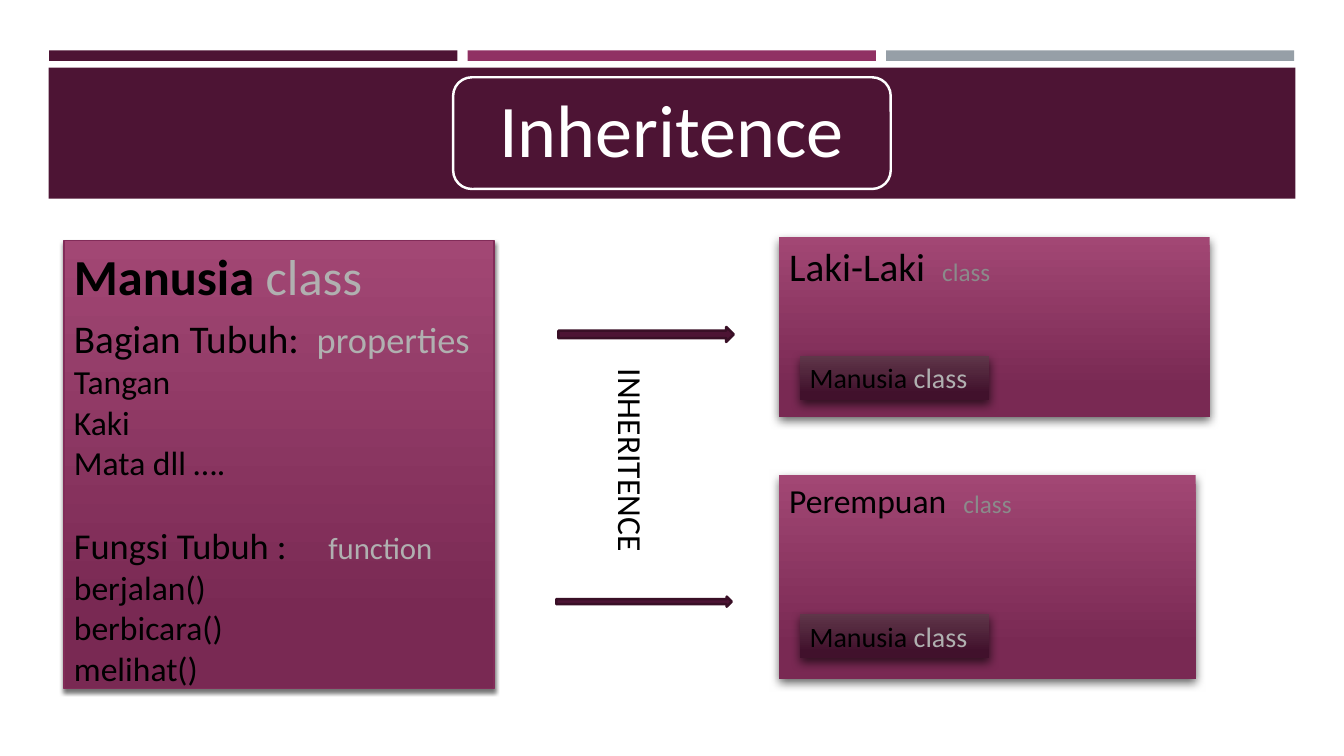
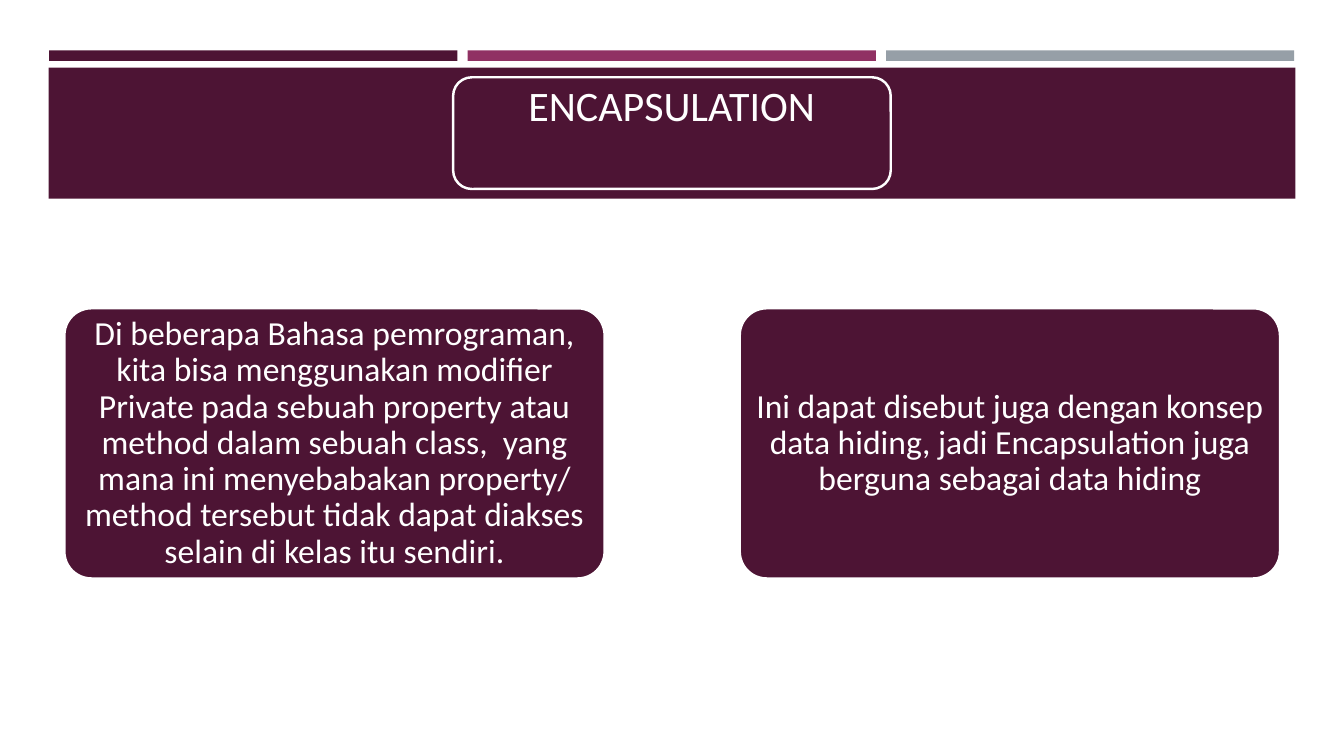
import pptx
import pptx.dml.color
import pptx.enum.dml
import pptx.enum.shapes
import pptx.enum.text
import pptx.oxml.ns
import pptx.util
import lxml.etree

Pt = pptx.util.Pt
SHAPE = pptx.enum.shapes.MSO_SHAPE
ANCHOR = pptx.enum.text.MSO_ANCHOR
ALIGN = pptx.enum.text.PP_ALIGN
NO_FIT = pptx.enum.text.MSO_AUTO_SIZE.NONE

PLUM, MAGENTA, GREY = "4D1434", "903163", "969FA7"
WHITE, BLACK, DARK_LINE = "FFFFFF", "000000", "390F26"
PALE, MUTED = "B0B0B0", "8B8B8B"
CLASS_FILL = ("A24774", "792953")
TAG_FILL = ("5F3649", "41112C")
BOX_SHADOW = {"alpha": 60, "blur": 7, "dist": 3, "angle": 84}
BODY_SHADOW = {"alpha": 55, "blur": 3, "dist": 2, "angle": 90}


def rgb(value):
    return pptx.dml.color.RGBColor.from_string(value)


def assign(obj, values):
    for name, value in values.items():
        setattr(obj, name, value)


def place(sp, box):
    assign(sp, dict(zip(("left", "top", "width", "height"), map(Pt, box))))


def add_child(parent, tag, **attrs):
    child = lxml.etree.SubElement(parent, pptx.oxml.ns.qn(tag))
    for name, value in attrs.items():
        child.set(name, str(value))
    return child


def paint(sp, fill, line=None, width=1.75):
    sp.shadow.inherit = False
    if isinstance(fill, tuple):
        sp.fill.gradient()
        sp.fill.gradient_angle = 270
        for stop, position, color in zip(sp.fill.gradient_stops, (0, 0.84), fill):
            stop.position = position
            stop.color.rgb = rgb(color)
    else:
        sp.fill.solid()
        sp.fill.fore_color.rgb = rgb(fill)
    if line:
        sp.line.color.rgb = rgb(line)
        sp.line.width = Pt(width)
    else:
        sp.line.fill.background()


def cast_shadow(sp, alpha, blur, dist, angle):
    effects = sp.element.spPr.find(pptx.oxml.ns.qn("a:effectLst"))
    shadow = add_child(effects, "a:outerShdw", blurRad=Pt(blur), dist=Pt(dist),
                       dir=angle * 60000, algn="ctr", rotWithShape=0)
    color = add_child(shadow, "a:srgbClr", val=BLACK)
    add_child(color, "a:alpha", val=alpha * 1000)


def add_shape(slide, kind, box, fill, line=None):
    sp = slide.shapes.add_shape(kind, *map(Pt, box))
    paint(sp, fill, line)
    return sp


def write(p, runs, **values):
    assign(p, {"alignment": ALIGN.LEFT, **values})
    for text, size, color, bold, *spacing in runs:
        r = p.add_run()
        r.text = text
        assign(r.font, {"name": "Calibri", "size": Pt(size), "bold": bold})
        r.font.color.rgb = rgb(color)
        for points in spacing:
            r._r.get_or_add_rPr().set("spc", str(round(points * 100)))


def tagged(name, size, gap, tag, tag_size, tag_color):
    return [(name, size, BLACK, False), (" ", 18, BLACK, False, gap),
            (tag, tag_size, tag_color, False)]


def add_master_bands(prs, slide):
    bands = [add_shape(slide, SHAPE.RECTANGLE, (35.1 + 298.9 * i, 36, 291.6, 7.5), color)
             for i, color in enumerate((PLUM, MAGENTA, GREY))]
    bands.append(add_shape(slide, SHAPE.RECTANGLE, (34.8, 48.4, 890.6, 93.6), PLUM))
    bands.append(add_shape(slide, SHAPE.ROUNDED_RECTANGLE, (323.7, 55.2, 312.6, 79.8), PLUM, WHITE))
    for i, sp in enumerate(bands):
        sp.element.nvSpPr.cNvPr.set("id", str(100 + i))
        prs.slide_master.shapes.element.append(sp.element)
    place(prs.slide_master.placeholders[0], (327.6, 59, 304.6, 72))


def set_title(slide, text, size, anchor, top=0):
    tf = slide.shapes.title.text_frame
    assign(tf, {"auto_size": NO_FIT, "vertical_anchor": anchor,
                "margin_top": Pt(top), "margin_bottom": 0})
    write(tf.paragraphs[0], [(text, size, WHITE, False)], alignment=ALIGN.CENTER, line_spacing=0.9)


def fill_body(sp, box, lines):
    place(sp, box)
    paint(sp, CLASS_FILL, "822C59", 1)
    cast_shadow(sp, **BODY_SHADOW)
    tf = sp.text_frame
    assign(tf, {"auto_size": NO_FIT, "vertical_anchor": ANCHOR.TOP})
    for i, (runs, before, after) in enumerate(lines):
        p = tf.paragraphs[0] if i == 0 else tf.add_paragraph()
        pPr = p._p.get_or_add_pPr()
        pPr.set("marL", "0")
        pPr.set("indent", "0")
        add_child(pPr, "a:buNone")
        write(p, runs, space_before=Pt(before), space_after=Pt(after))


def add_class_box(slide, box, fill, runs):
    sp = add_shape(slide, SHAPE.RECTANGLE, box, fill)
    cast_shadow(sp, **BOX_SHADOW)
    sp.text_frame.vertical_anchor = ANCHOR.TOP
    write(sp.text_frame.paragraphs[0], runs)


def add_subclass(slide, box, name, size, tag_top):
    add_class_box(slide, box, CLASS_FILL, tagged(name, size, 8.1, "class", 18, MUTED))
    add_class_box(slide, (571.2, tag_top, 135.4, 31.7), TAG_FILL,
                  [("Manusia ", 20, BLACK, False), ("class", 20, PALE, False)])


def add_vertical_label(slide, box, text):
    sp = slide.shapes.add_textbox(*map(Pt, box))
    sp.rotation = 90
    sp.text_frame.word_wrap = True
    write(sp.text_frame.paragraphs[0], [(text, 24, BLACK, False)])


def add_card(slide, left, text):
    sp = add_shape(slide, SHAPE.ROUNDED_RECTANGLE, (left, 220.2, 385.9, 193), PLUM, WHITE)
    sp.adjustments[0] = 0.1
    assign(sp.text_frame, {"word_wrap": True, "vertical_anchor": ANCHOR.MIDDLE,
                           "margin_left": Pt(3.7), "margin_right": Pt(3.7)})
    write(sp.text_frame.paragraphs[0], [(text, 24, WHITE, False)],
          alignment=ALIGN.CENTER, line_spacing=0.9)


def build_inheritance(slide):
    set_title(slide, "Inheritence", 53, ANCHOR.MIDDLE)

    def item(text):
        return [(text, 24, BLACK, False)], 0, 0

    fill_body(slide.placeholders[1], (45.6, 171.6, 307.4, 320.4), [
        ([("Manusia ", 36, BLACK, True), ("class", 36, PALE, False)], 0, 6),
        (tagged("Bagian Tubuh:", 28, 8.6, "properties", 26, PALE), 0, 0),
        *map(item, ("Tangan", "Kaki", "Mata dll ….")),
        (tagged("Fungsi Tubuh :", 26, 25.3, "function", 22, PALE), 29.3, 0),
        *map(item, ("berjalan()", "berbicara()", "melihat()")),
    ])
    add_subclass(slide, (556.6, 169.4, 307.4, 128.2), "Laki-Laki", 28, 254.3)
    add_subclass(slide, (556.6, 339.3, 297.4, 145.4), "Perempuan", 24, 438.7)
    for box in ((398.9, 233.5, 125.3, 10.8), (397.4, 426.2, 125.3, 7.2)):
        add_shape(slide, SHAPE.RIGHT_ARROW, box, PLUM, DARK_LINE)
    add_vertical_label(slide, (361, 328.3, 180, 36), "INHERITENCE")


def build_encapsulation(slide):
    set_title(slide, "ENCAPSULATION", 30, ANCHOR.TOP, 2.1)
    add_card(slide, 46, "Di beberapa Bahasa pemrograman, kita bisa menggunakan modifier Private "
             "pada sebuah property atau method dalam sebuah class,  yang mana ini menyebabakan "
             "property/ method tersebut tidak dapat diakses selain di kelas itu sendiri.")
    add_card(slide, 528.4, "Ini dapat disebut juga dengan konsep data hiding, jadi Encapsulation "
             "juga berguna sebagai data hiding")


def main():
    prs = pptx.Presentation()
    assign(prs, {"slide_width": Pt(960), "slide_height": Pt(540)})
    inheritance = prs.slides.add_slide(prs.slide_layouts[1])
    add_master_bands(prs, inheritance)
    build_inheritance(inheritance)
    build_encapsulation(prs.slides.add_slide(prs.slide_layouts[5]))
    prs.save("out.pptx")


if __name__ == "__main__":
    main()
